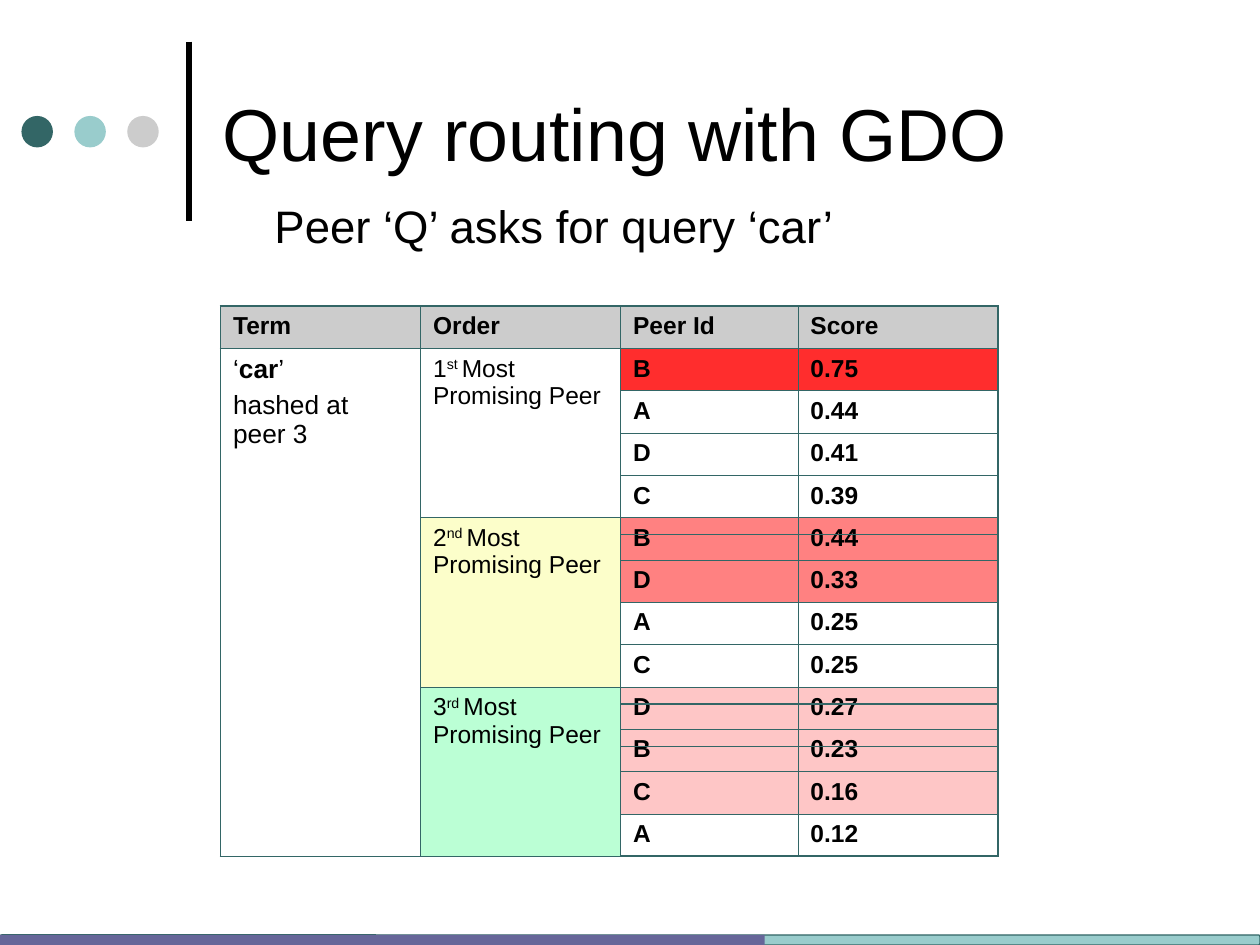
from dataclasses import dataclass

from lxml import etree
from pptx import Presentation
from pptx.dml.color import RGBColor
from pptx.enum.shapes import MSO_CONNECTOR, MSO_SHAPE
from pptx.enum.text import MSO_ANCHOR
from pptx.oxml.ns import qn
from pptx.util import Inches, Pt

STRAIGHT = MSO_CONNECTOR.STRAIGHT
OVAL, RECT = MSO_SHAPE.OVAL, MSO_SHAPE.RECTANGLE
STRIP = MSO_SHAPE.FLOWCHART_ALTERNATE_PROCESS
MIDDLE = MSO_ANCHOR.MIDDLE


@dataclass(frozen=True)
class Theme:
    font: str = "Arial"
    ink: str = "000000"
    teal: str = "336666"
    aqua: str = "99CCCC"
    grey: str = "CCCCCC"
    violet: str = "666699"
    yellow: str = "FCFECA"
    green: str = "BBFFD5"
    red: str = "FF2D2D"
    coral: str = "FF8181"
    pink: str = "FEC6C6"
    title: float = 42
    subtitle: float = 26
    term: float = 15
    cell: float = 14
    grid_line: float = 0.45
    edge_line: float = 1.08


THEME = Theme()
WIDTH, HEIGHT = 10, 7.5

HEADINGS = ["Term", "Order", "Peer Id", "Score"]
COLUMNS = [1.59, 1.59, 1.41, 1.59]
STRUCK_ROWS = [5, 9, 10]
# Ordinal, suffix, fill of the order cell, fill of chosen peers, how many, scores
ORDERS = [
    ("1", "st ", None, THEME.red, 1,
     [("B", "0.75"), ("A", "0.44"), ("D", "0.41"), ("C", "0.39")]),
    ("2", "nd ", THEME.yellow, THEME.coral, 2,
     [("B", "0.44"), ("D", "0.33"), ("A", "0.25"), ("C", "0.25")]),
    ("3", "rd ", THEME.green, THEME.pink, 3,
     [("D", "0.27"), ("B", "0.23"), ("C", "0.16"), ("A", "0.12")]),
]


def rgb(value):
    return RGBColor.from_string(value)


def add_run(paragraph, text, size, bold=False, raised=False):
    run = paragraph.add_run()
    run.text = text
    run.font.color.rgb = rgb(THEME.ink)
    formats = {"name": THEME.font, "size": Pt(size), "bold": bold}
    for name, value in formats.items():
        setattr(run.font, name, value)
    if raised:
        run.font._element.set("baseline", "30000")


def add_line(slide, start, end, color, weight):
    line = slide.shapes.add_connector(
        STRAIGHT, *(Inches(n) for n in (*start, *end)))
    line.line.color.rgb = rgb(color)
    line.line.width = Pt(weight)
    etree.SubElement(line._element.spPr, qn("a:effectLst"))


def add_block(slide, kind, box, fill, outline=None):
    block = slide.shapes.add_shape(kind, *(Inches(n) for n in box))
    block.shadow.inherit = False
    block.fill.solid()
    block.fill.fore_color.rgb = rgb(fill)
    if outline:
        block.line.color.rgb = rgb(outline)
        block.line.width = Pt(0.75)
    else:
        block.line.fill.background()


def add_heading(slide, box, text, size):
    frame = slide.shapes.add_textbox(*(Inches(n) for n in box)).text_frame
    for name, value in {"word_wrap": True, "vertical_anchor": MIDDLE}.items():
        setattr(frame, name, value)
    add_run(frame.paragraphs[0], text, size)


def add_ornament(slide, box):
    """Three dots with a vertical rule at the right edge of the box."""
    left, top, width, height = box
    dot, pitch = 0.25, 0.42
    for i, color in enumerate([THEME.teal, THEME.aqua, THEME.grey]):
        add_block(slide, OVAL, (left + i * pitch, top + 0.59, dot, dot), color)
    add_line(slide, (left + width, top), (left + width, top + height),
             THEME.ink, 3)


def add_footer(slide, box):
    """Full-width strip with a darker part over its left."""
    left, top, width, height = box
    add_block(slide, STRIP, box, THEME.aqua, THEME.teal)
    add_block(slide, RECT, (left, top, width * 0.607, height), THEME.violet)


def format_cell(cell, fill, edges):
    """Draw the four borders, heavier on outer edges, then the fill."""
    properties = cell._tc.get_or_add_tcPr()
    for side in "LRTB":
        weight = THEME.edge_line if side in edges else THEME.grid_line
        border = etree.SubElement(properties, qn(f"a:ln{side}"),
                                  w=str(int(Pt(weight))))
        solid = etree.SubElement(border, qn("a:solidFill"))
        etree.SubElement(solid, qn("a:srgbClr"), val=THEME.teal)
    if fill:
        cell.fill.solid()
        cell.fill.fore_color.rgb = rgb(fill)
    else:
        cell.fill.background()


def add_scores(slide, box):
    """Table of peers by order, with lines through the peers already used."""
    left, top, width, height = box
    group = len(ORDERS[0][-1])
    last_row, last_column = group * len(ORDERS), len(HEADINGS) - 1
    row_height = height / (last_row + 1)
    table = slide.shapes.add_table(last_row + 1, last_column + 1,
                                   *(Inches(n) for n in box)).table
    for name in ("first_row", "horz_banding"):
        setattr(table, name, False)
    for column, share in zip(table.columns, COLUMNS):
        column.width = Inches(width * share / sum(COLUMNS))
    for row in table.rows:
        row.height = Inches(row_height)

    # Header row
    fills = {}
    for c, heading in enumerate(HEADINGS):
        add_run(table.cell(0, c).text_frame.paragraphs[0], heading,
                THEME.cell, bold=True)
        fills[0, c] = THEME.grey

    # Term cell
    term = table.cell(1, 0)
    term.merge(table.cell(last_row, 0))
    quoted = term.text_frame.paragraphs[0]
    for text, bold in [("‘", False), ("car", True), ("’", False)]:
        add_run(quoted, text, THEME.term, bold)
    place = term.text_frame.add_paragraph()
    place.space_before = Pt(3.7)
    add_run(place, "hashed at peer 3", THEME.term)

    # One merged order cell and its peers for each order
    for i, (number, suffix, fill, chosen, count, peers) in enumerate(ORDERS):
        first = 1 + i * group
        order = table.cell(first, 1)
        order.merge(table.cell(first + group - 1, 1))
        label = order.text_frame.paragraphs[0]
        add_run(label, number, THEME.cell)
        add_run(label, suffix, THEME.cell, raised=True)
        add_run(label, "Most Promising Peer", THEME.cell)
        for k, peer in enumerate(peers):
            fills[first + k, 1] = fill
            for c, text in enumerate(peer, start=2):
                add_run(table.cell(first + k, c).text_frame.paragraphs[0],
                        text, THEME.cell, bold=True)
                fills[first + k, c] = chosen if k < count else None

    # Borders and fills
    for r in range(last_row + 1):
        for c in range(last_column + 1):
            on_edge = {"L": c == 0, "R": c == last_column,
                       "T": r == 0, "B": r == last_row}
            format_cell(table.cell(r, c), fills.get((r, c)),
                        [side for side, outer in on_edge.items() if outer])

    # Lines through used peers
    peers_left = left + width * sum(COLUMNS[:2]) / sum(COLUMNS)
    for row in STRUCK_ROWS:
        y = top + (row + 0.39) * row_height
        add_line(slide, (peers_left, y), (left + width, y), THEME.teal, 0.75)


def main():
    deck = Presentation()
    deck.slide_width, deck.slide_height = Inches(WIDTH), Inches(HEIGHT)
    slide = deck.slides.add_slide(deck.slide_layouts[6])
    add_ornament(slide, (0.17, 0.33, 1.33, 1.42))
    add_heading(slide, (1.67, 0.21, 7.67, 1.67), "Query routing with GDO",
                THEME.title)
    add_heading(slide, (2.08, 1.5, 6.92, 0.58),
                "Peer ‘Q’ asks for query ‘car’", THEME.subtitle)
    add_scores(slide, (1.75, 2.43, 6.17, 4.37))
    add_footer(slide, (0, HEIGHT - 0.08, WIDTH, 0.08))
    deck.save("out.pptx")


if __name__ == "__main__":
    main()
